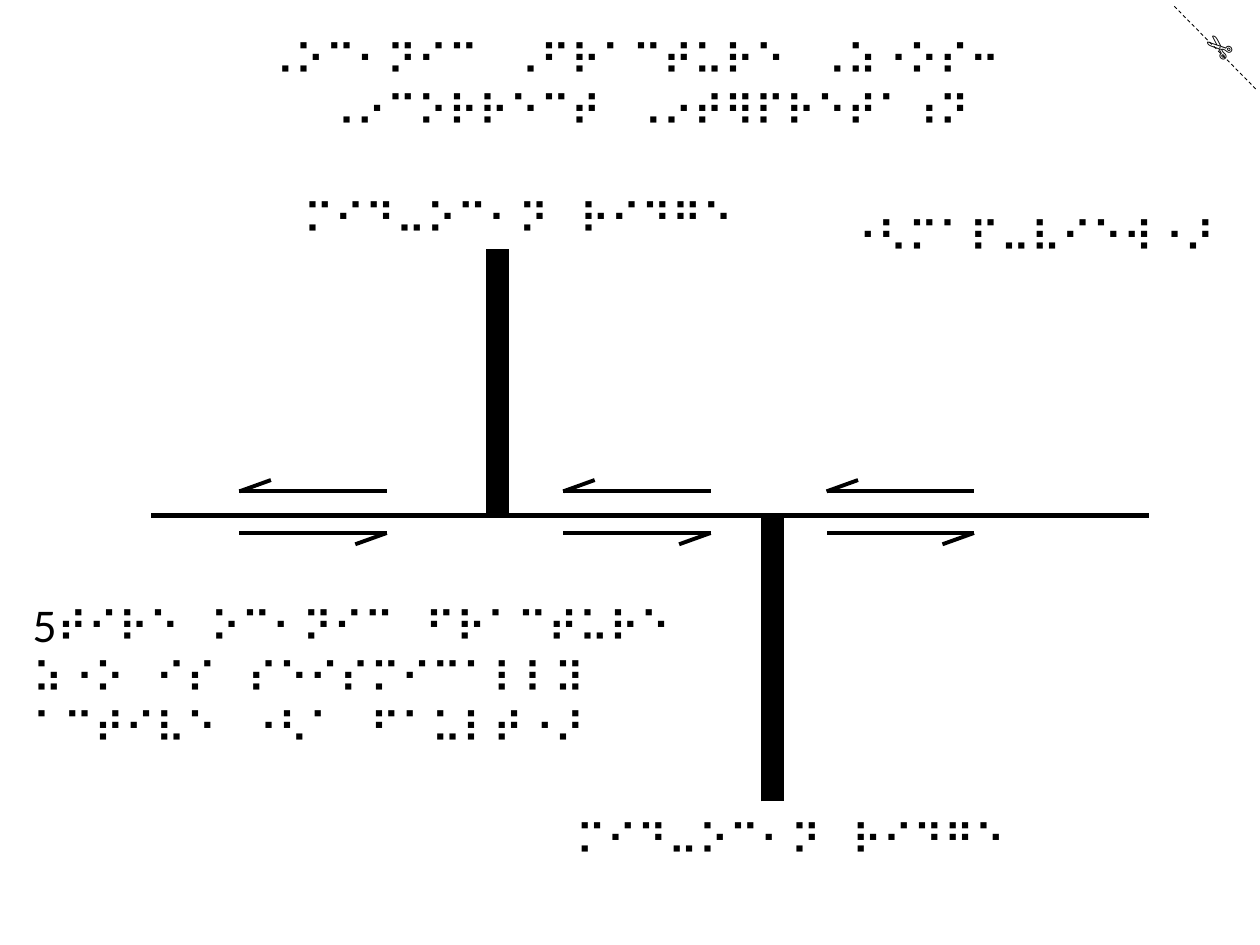
from lxml.etree import SubElement
from pptx import Presentation
from pptx.dml.color import RGBColor
from pptx.enum.dml import MSO_LINE
from pptx.enum.shapes import MSO_CONNECTOR
from pptx.enum.text import MSO_AUTO_SIZE, PP_ALIGN
from pptx.oxml.ns import qn
from pptx.util import Inches, Pt

BLACK = RGBColor(0, 0, 0)
WIDTH, HEIGHT = 10, 7.5

TITLE = ["⠠⠕⠉⠂⠝⠊⠉⠀⠠⠋⠗⠁⠉⠞⠥⠗⠑⠀⠠⠵⠐⠕⠎⠒⠀⠠⠔⠉⠕⠗⠗⠑⠉⠞⠀⠠⠔⠞⠻⠏⠗⠑⠞⠁⠰⠝"]
CAPTION = [
    "5⠞⠊⠗⠑⠀⠕⠉⠂⠝⠊⠉⠀⠋⠗⠁⠉⠞⠥⠗⠑⠀",
    "⠵⠐⠕⠀⠊⠎⠀⠎⠑⠊⠎⠍⠊⠉⠁⠇⠇⠽⠀",
    "⠁⠉⠞⠊⠧⠑⠀⠐⠣⠁⠀⠋⠁⠥⠇⠞⠐⠜",
]
RIDGE = ["⠍⠊⠙⠤⠕⠉⠂⠝⠀⠗⠊⠙⠛⠑"]
MAP_VIEW = ["⠐⠣⠍⠁⠏⠤⠧⠊⠑⠺⠐⠜"]

FAULT_Y = 4.09
FAULT_ENDS = (1.2, 9.12)
RIDGES = [(3.95, 1.98), (6.13, 6.36)]
ARROW_LEFTS = [1.9, 4.47, 6.56]
ARROW_LENGTH = 1.17
BARB = (0.25, 0.09)
UPPER_Y, LOWER_Y = 3.9, 4.23

prs = Presentation()
prs.slide_width, prs.slide_height = Inches(WIDTH), Inches(HEIGHT)
s = prs.slides.add_slide(prs.slide_layouts[6])


def add_line(shapes, start, end, width):
    ends = [Inches(v) for v in (*start, *end)]
    sp = shapes.add_connector(MSO_CONNECTOR.STRAIGHT, *ends)
    sp.line.color.rgb = BLACK
    sp.line.width = Pt(width)
    SubElement(sp._element.spPr, qn("a:effectLst"))
    return sp


def add_text(box, lines, wrap=True, align=PP_ALIGN.LEFT, font="Lato", size=24):
    sp = s.shapes.add_textbox(*[Inches(v) for v in box])
    tf = sp.text_frame
    tf.text = "\n".join(lines)
    tf.word_wrap = wrap
    tf.auto_size = MSO_AUTO_SIZE.SHAPE_TO_FIT_TEXT
    for p in tf.paragraphs:
        p.alignment = align
        for r in p.runs:
            r.font.name = font
            r.font.size = Pt(size)
            r.font.color.rgb = BLACK
    return sp


def add_half_arrow(shapes, tip, direction):
    x, y = tip
    add_line(shapes, tip, (x + direction * ARROW_LENGTH, y), 2.25)
    add_line(shapes, tip, (x + direction * BARB[0], y - direction * BARB[1]), 2.25)


cut_line = add_line(s.shapes, (9.32, 0.05), (9.98, 0.72), 0.5)
cut_line.line.dash_style = MSO_LINE.DASH
scissors = add_text((9.46, 0.18, 0.42, 0.4), ["✄"], font="Calibri", size=18)
scissors.rotation = 220.5

add_text((1.91, 0.22, 6.45, 0.91), TITLE, align=PP_ALIGN.CENTER)
add_text((0.16, 4.72, 11.86, 1.31), CAPTION)

add_line(s.shapes, (FAULT_ENDS[0], FAULT_Y), (FAULT_ENDS[1], FAULT_Y), 3)
for x, y in RIDGES:
    add_line(s.shapes, (x, y), (x, FAULT_Y), 13)

for left, top in [(2.31, 1.48), (4.47, 6.41)]:
    add_text((left, top, 3.73, 0.5), RIDGE, wrap=False)
add_text((6.62, 1.62, 3.13, 0.5), MAP_VIEW, wrap=False)

for left in ARROW_LEFTS:
    pair = s.shapes.add_group_shape()
    add_half_arrow(pair.shapes, (left, UPPER_Y), 1)
    add_half_arrow(pair.shapes, (left + ARROW_LENGTH, LOWER_Y), -1)

prs.save("out.pptx")
